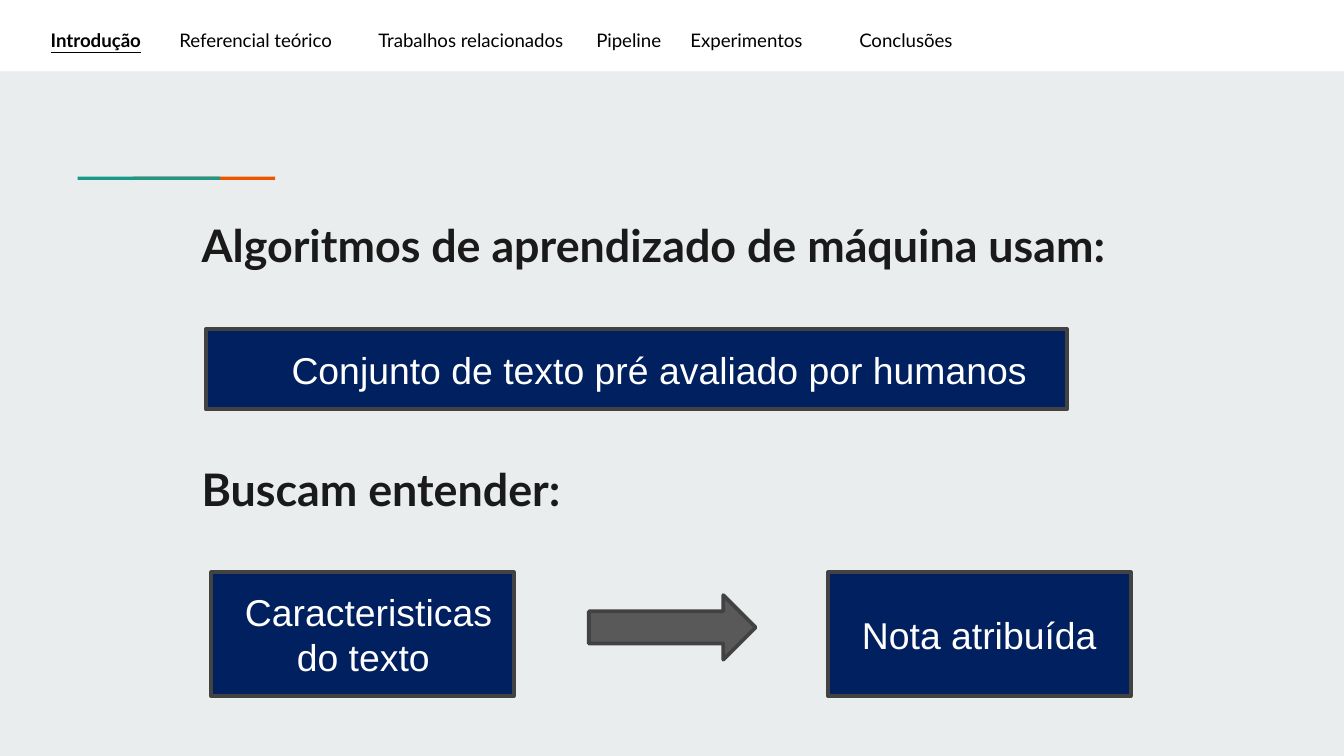
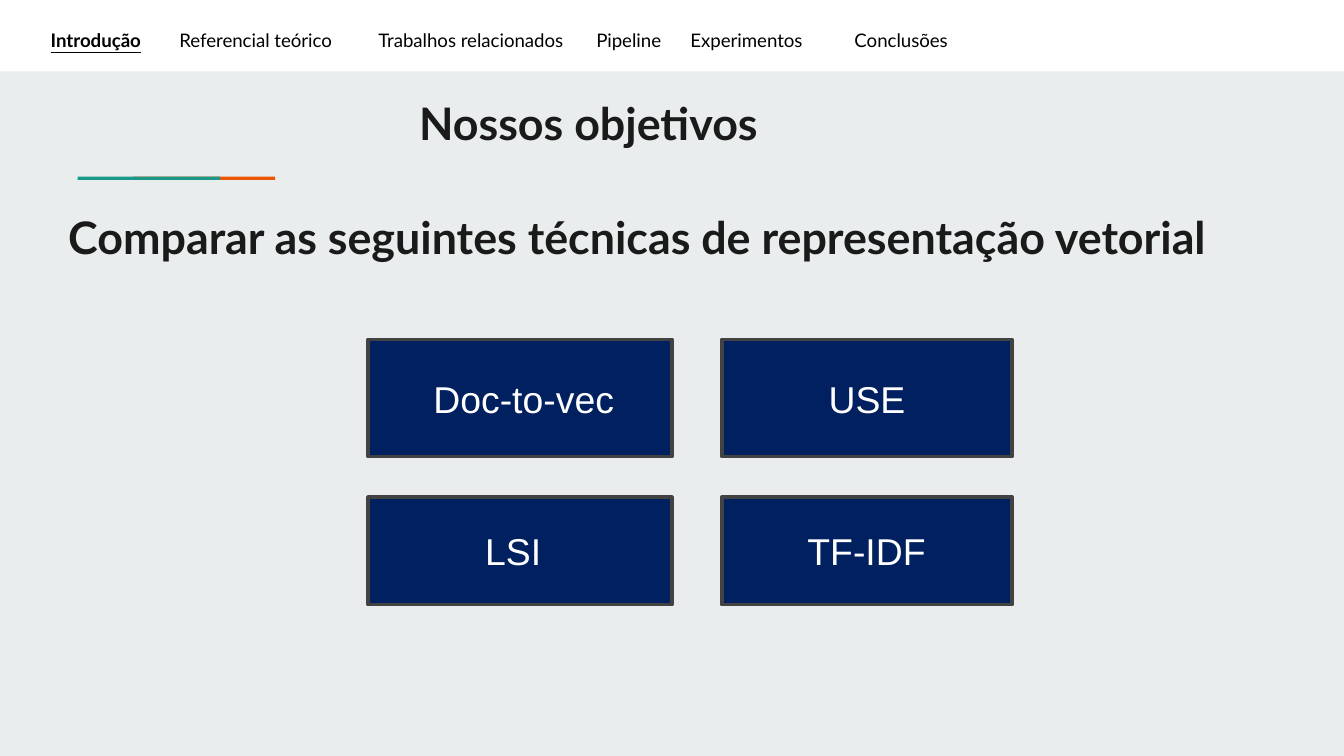
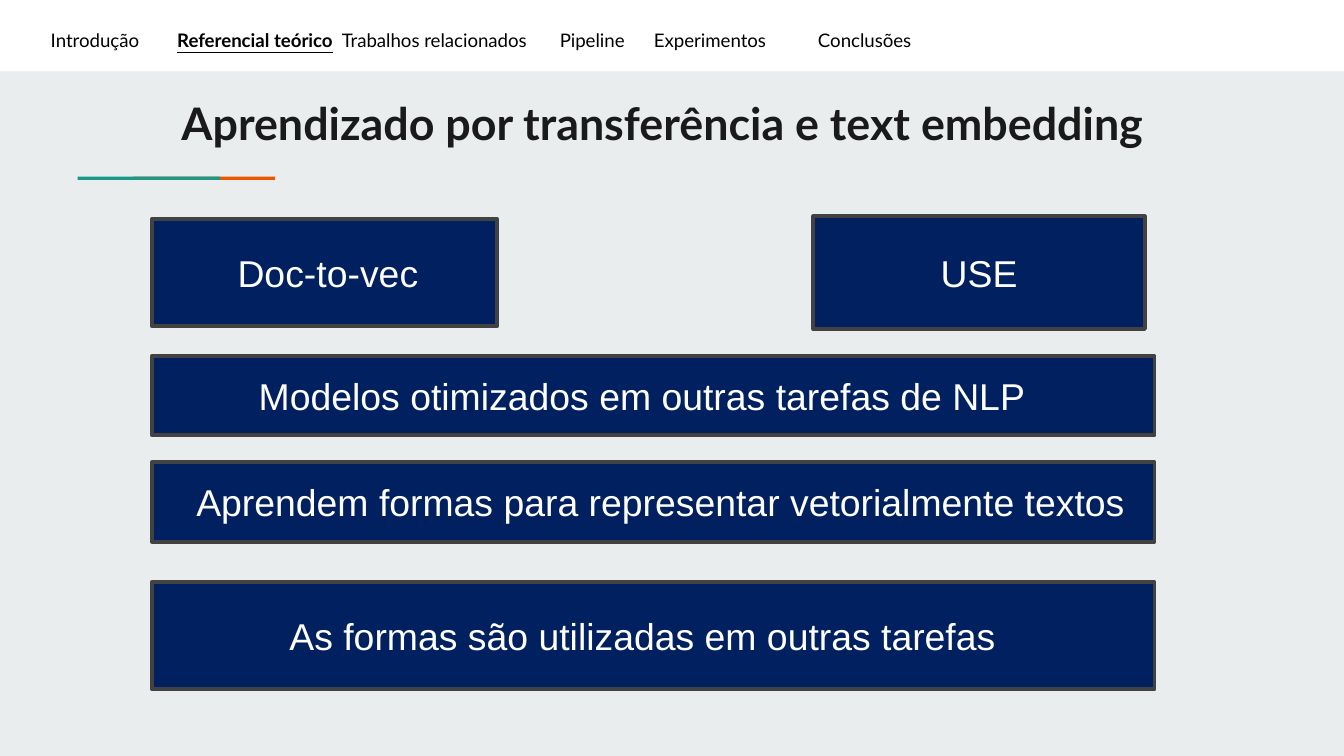
"""Build three slides on text representation for automatic essay scoring."""
from lxml import etree
from pptx import Presentation
from pptx import util as u
from pptx.dml.color import RGBColor
from pptx.enum import shapes, text
from pptx.oxml.ns import qn

COLORS = {
    "background": "E9EDEE",
    "white": "FFFFFF",
    "black": "000000",
    "heading": "1A1A1A",
    "navy": "002060",
    "outline": "424242",
    "arrow": "595959",
    "teal": "1A9988",
    "orange": "EB5600",
}
SECTIONS = ["Introdução", "Referencial teórico", "Trabalhos relacionados",
            "Pipeline", "Experimentos", "Conclusões"]
HEADING_HEIGHT = 1.37


class Deck:
    """Hold the shared style and the slide being built."""

    def __init__(self):
        self.presentation = Presentation()
        self.presentation.slide_width = u.Cm(25.4)
        self.presentation.slide_height = u.Cm(14.29)
        fill = self.presentation.slide_master.background.fill
        fill.solid()
        fill.fore_color.rgb = self.color("background")
        self.slide = None

    def color(self, name):
        return RGBColor.from_string(COLORS[name])

    def add_slide(self, section, tab_stops):
        layout = self.presentation.slide_layouts[5]
        self.slide = self.presentation.slides.add_slide(layout)
        self.shape(0, 0, 25.4, 1.35, "white")
        self.shape(2.51, 3.34, 2.69, 0.06, "orange")
        self.shape(1.47, 3.34, 2.69, 0.06, "teal")
        self.navigation(section, tab_stops)

    def shape(self, left, top, width, height, fill, outline=None,
              kind=shapes.MSO_SHAPE.RECTANGLE):
        shape = self.slide.shapes.add_shape(
            kind, u.Cm(left), u.Cm(top), u.Cm(width), u.Cm(height))
        shape.shadow.inherit = False
        shape.fill.solid()
        shape.fill.fore_color.rgb = self.color(fill)
        if outline:
            shape.line.color.rgb = self.color(outline)
            shape.line.width = u.Pt(2)
            etree.SubElement(shape.line._get_or_add_ln(), qn("a:round"))
        else:
            shape.line.fill.background()
        return shape

    def format_font(self, run, name, size, color, bold=False):
        run.font.name = name
        run.font.size = u.Pt(size)
        run.font.color.rgb = self.color(color)
        run.font.bold = bold

    def indent(self, paragraph, distance):
        paragraph.alignment = text.PP_ALIGN.LEFT
        properties = paragraph._p.get_or_add_pPr()
        properties.set("marL", str(u.Cm(distance)))
        properties.set("indent", "0")

    def set_frame(self, frame):
        frame.word_wrap = True
        frame.auto_size = text.MSO_AUTO_SIZE.NONE
        frame.vertical_anchor = text.MSO_ANCHOR.TOP
        frame.margin_left = frame.margin_right = u.Cm(0.25)
        frame.margin_top = frame.margin_bottom = u.Cm(0.25)

    def text_box(self, left, top, width, height):
        return self.slide.shapes.add_textbox(
            u.Cm(left), u.Cm(top), u.Cm(width), u.Cm(height))

    def navigation(self, section, tab_stops):
        frame = self.text_box(0.71, 0.3, 18.72, 0.76).text_frame
        self.set_frame(frame)
        paragraph = frame.paragraphs[0]
        tab_list = etree.SubElement(
            paragraph._p.get_or_add_pPr(), qn("a:tabLst"))
        for stop in tab_stops:
            etree.SubElement(tab_list, qn("a:tab"),
                             pos=str(u.Cm(stop)), algn="l")
        for index, name in enumerate(SECTIONS):
            if index:
                gap = paragraph.add_run()
                gap.text = "\t"
                self.format_font(gap, "Lato", 10, "black")
            run = paragraph.add_run()
            run.text = name
            self.format_font(run, "Lato", 10, "black", name == section)
            run.font.underline = name == section

    def format_heading(self, shape, wording, indent):
        self.set_frame(shape.text_frame)
        shape.text_frame.text = wording
        paragraph = shape.text_frame.paragraphs[0]
        self.indent(paragraph, indent)
        self.format_font(paragraph.runs[0], "Lato", 24, "heading", True)

    def title(self, wording, left, top, width, indent=0):
        title = self.slide.shapes.title
        title.left, title.top = u.Cm(left), u.Cm(top)
        title.width, title.height = u.Cm(width), u.Cm(HEADING_HEIGHT)
        self.format_heading(title, wording, indent)

    def heading(self, wording, left, top, width):
        box = self.text_box(left, top, width, HEADING_HEIGHT)
        self.format_heading(box, wording, 0)

    def box(self, left, top, width, height, wording, *indents):
        shape = self.shape(left, top, width, height, "navy", "outline")
        frame = shape.text_frame
        frame.vertical_anchor = text.MSO_ANCHOR.MIDDLE
        frame.text = wording
        for paragraph, distance in zip(frame.paragraphs, indents):
            self.indent(paragraph, distance)
            self.format_font(paragraph.runs[0], "Arial", 20, "white")

    def arrow(self, left, top, width, height):
        self.shape(left, top, width, height, "arrow", "outline",
                   shapes.MSO_SHAPE.RIGHT_ARROW)


def build_algorithms(deck):
    deck.add_slide("Introdução", [2.43, 6.19, 10.31, 12.09, 15.28])
    deck.title("Algoritmos de aprendizado de máquina usam:", 3.56, 3.86, 17.83)
    deck.box(3.89, 6.22, 16.28, 1.52,
             "Conjunto de texto pré avaliado por humanos", 1.37)
    deck.heading("Buscam entender:", 3.56, 8.48, 13.82)
    deck.box(3.99, 10.82, 5.72, 2.34, "Caracteristicas\ndo texto", 0.39, 1.37)
    deck.arrow(11.13, 11.25, 3.15, 1.22)
    deck.box(15.65, 10.82, 5.72, 2.34, "Nota atribuída", 0.39)


def build_goals(deck):
    deck.add_slide("Introdução", [2.43, 6.19, 10.31, 12.09, 15.19])
    deck.title("Nossos objetivos", 0.51, 1.55, 21.11, 7.16)
    deck.heading("Comparar as seguintes técnicas de representação vetorial",
                 1.04, 3.71, 26.82)
    columns = [(6.96, 5.74), (13.64, 5.49)]
    rows = [(6.42, 2.21, [("Doc-to-vec", 0.98), ("USE", 1.77)]),
            (9.4, 2.03, [("LSI", 1.96), ("TF-IDF", 1.37)])]
    for top, height, techniques in rows:
        for (left, width), (name, indent) in zip(columns, techniques):
            deck.box(left, top, width, height, name, indent)


def build_transfer_learning(deck):
    deck.add_slide("Referencial teórico", [2.39, 5.5, 9.62, 11.4, 14.5])
    deck.title("Aprendizado por transferência e text embedding",
               -3.18, 1.55, 25.63, 6.36)
    deck.box(2.87, 4.14, 6.53, 2.03, "Doc-to-vec", 1.37)
    deck.box(15.37, 4.09, 6.27, 2.13, "USE", 2.16)
    statements = [
        (6.73, 1.5, "Modelos otimizados em outras tarefas de NLP", 1.77),
        (8.74, 1.5, "Aprendem formas para representar vetorialmente textos",
         0.59),
        (11, 2.03, "As formas são utilizadas em outras tarefas", 2.35),
    ]
    for top, height, wording, indent in statements:
        deck.box(2.87, top, 18.95, height, wording, indent)


def main():
    deck = Deck()
    build_algorithms(deck)
    build_goals(deck)
    build_transfer_learning(deck)
    deck.presentation.save("out.pptx")


if __name__ == "__main__":
    main()
